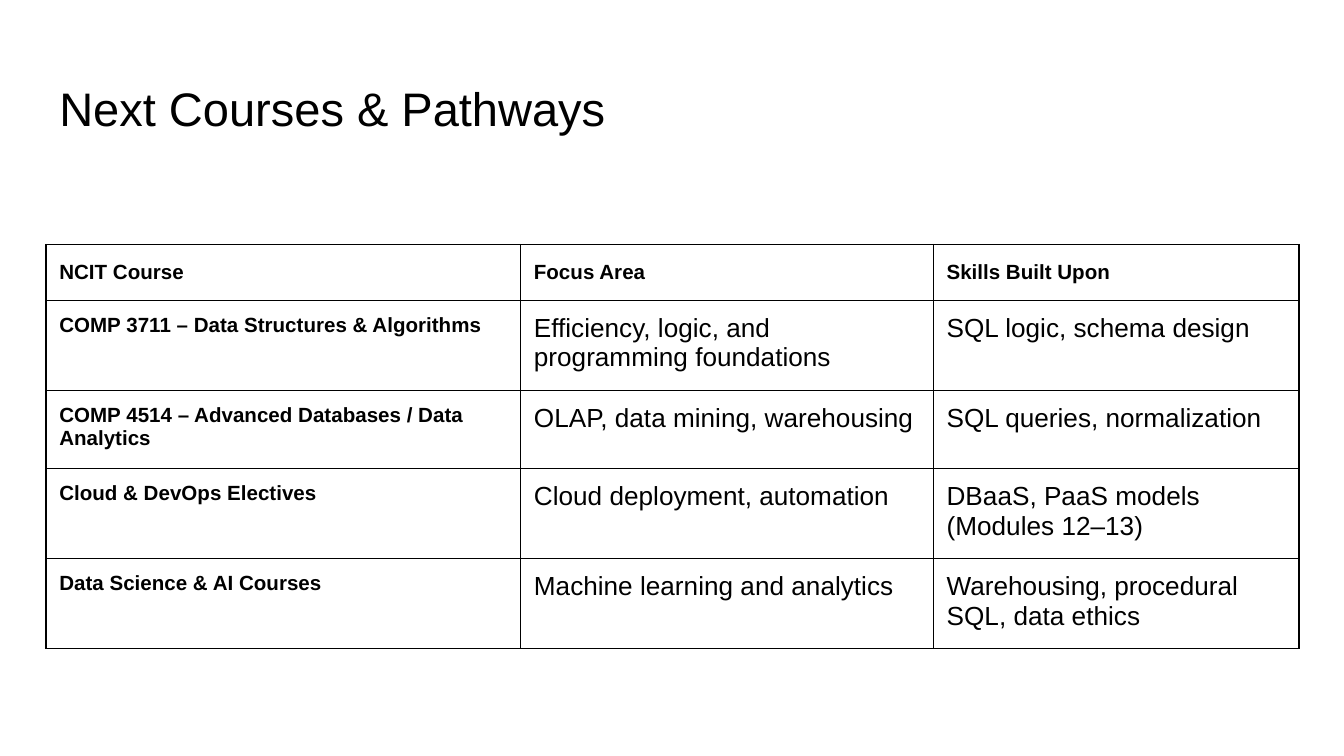
from lxml import etree
from pptx import Presentation
from pptx.dml.color import RGBColor
from pptx.enum.text import MSO_ANCHOR, MSO_AUTO_SIZE, PP_ALIGN
from pptx.oxml.ns import qn
from pptx.util import Cm, Pt

LEFT = PP_ALIGN.LEFT
TOP = MSO_ANCHOR.TOP
MIDDLE = MSO_ANCHOR.MIDDLE
NO_FIT = MSO_AUTO_SIZE.NONE

COLORS = {"ink": "000000"}
FONT = "Arial"
INSET = Cm(0.25)

TITLE = "Next Courses & Pathways"
ROWS = [
    ("NCIT Course", "Focus Area", "Skills Built Upon"),
    ("COMP 3711 – Data Structures & Algorithms",
     "Efficiency, logic, and programming foundations",
     "SQL logic, schema design"),
    ("COMP 4514 – Advanced Databases / Data Analytics",
     "OLAP, data mining, warehousing",
     "SQL queries, normalization"),
    ("Cloud & DevOps Electives",
     "Cloud deployment, automation",
     "DBaaS, PaaS models (Modules 12–13)"),
    ("Data Science & AI Courses",
     "Machine learning and analytics",
     "Warehousing, procedural SQL, data ethics"),
]
WIDTHS = [8.97, 7.8, 6.91]
HEIGHTS = [1.06, 1.7, 1.48, 1.7, 1.7]


def set_font(para, size, bold):
    font = para.font
    font.name = FONT
    font.size = Pt(size)
    font.bold = bold
    font.color.rgb = RGBColor.from_string(COLORS["ink"])


def set_inset(box):
    box.margin_left = box.margin_right = INSET
    box.margin_top = box.margin_bottom = INSET


def add_border(cell):
    props = cell._tc.get_or_add_tcPr()
    for side in ("lnL", "lnR", "lnT", "lnB"):
        line = etree.SubElement(props, qn(f"a:{side}"), w=str(Pt(0.75)))
        fill = etree.SubElement(line, qn("a:solidFill"))
        etree.SubElement(fill, qn("a:srgbClr"), val=COLORS["ink"])


def add_title(slide):
    title = slide.shapes.title
    title.left, title.top = Cm(0.87), Cm(1.24)
    title.width, title.height = Cm(23.67), Cm(1.6)
    frame = title.text_frame
    frame.text = TITLE
    frame.word_wrap = True
    frame.auto_size = NO_FIT
    frame.vertical_anchor = MIDDLE
    set_inset(frame)
    para = frame.paragraphs[0]
    para.alignment = LEFT
    set_font(para, 25.2, False)


def add_grid(slide):
    table = slide.shapes.add_table(
        len(ROWS), len(WIDTHS), Cm(0.87), Cm(4.62),
        Cm(sum(WIDTHS)), Cm(sum(HEIGHTS))).table
    table.first_row = False
    table.horz_banding = False
    for col, width in zip(table.columns, WIDTHS):
        col.width = Cm(width)
    for r, (texts, height) in enumerate(zip(ROWS, HEIGHTS)):
        table.rows[r].height = Cm(height)
        for c, text in enumerate(texts):
            cell = table.cell(r, c)
            cell.text = text
            cell.vertical_anchor = TOP
            set_inset(cell)
            add_border(cell)
            cell.fill.background()
            para = cell.text_frame.paragraphs[0]
            head = r == 0 or c == 0
            set_font(para, 11 if head else 14, head)
            if r == 0:
                para.line_spacing = 1.15


def main():
    deck = Presentation()
    deck.slide_width, deck.slide_height = Cm(25.4), Cm(14.29)
    slide = deck.slides.add_slide(deck.slide_layouts[5])
    add_title(slide)
    add_grid(slide)
    deck.save("out.pptx")


if __name__ == "__main__":
    main()
